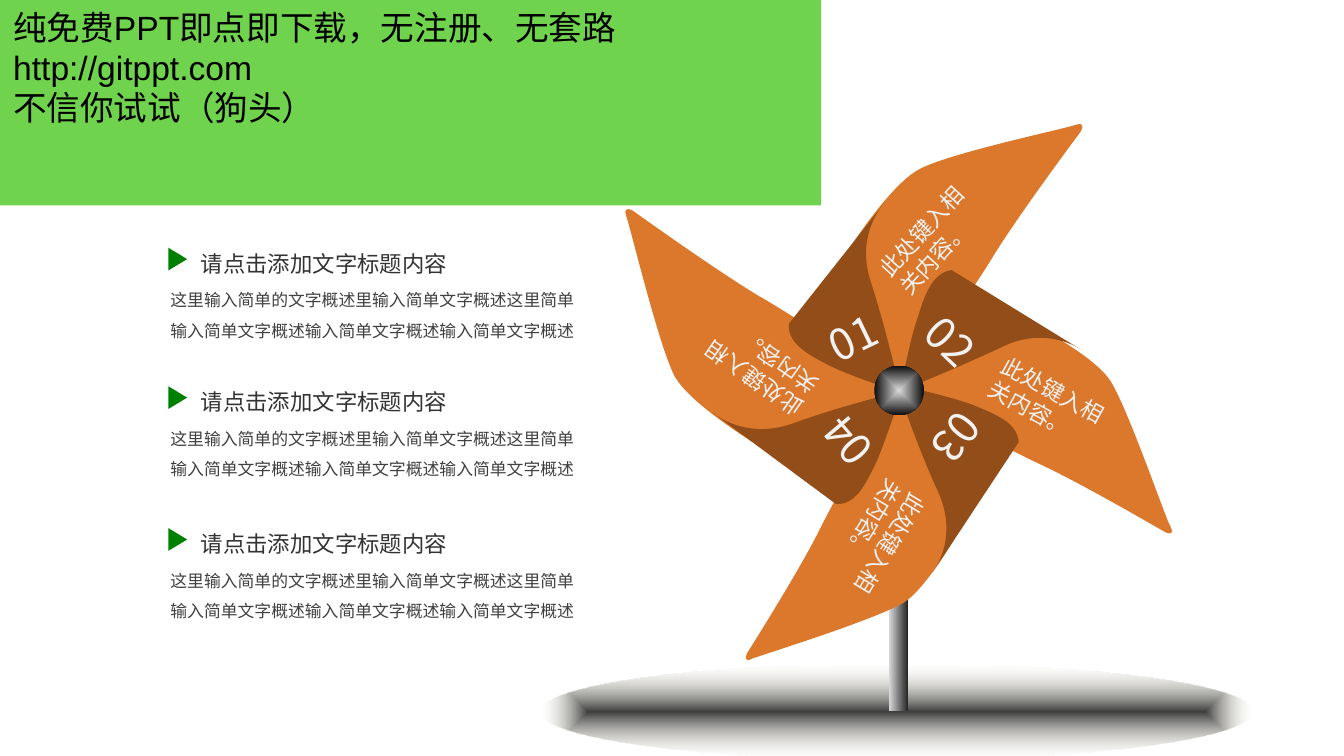
from lxml import etree
from pptx import Presentation
from pptx.dml.color import RGBColor
from pptx.enum import shapes, text
from pptx.oxml import ns
from pptx.util import Pt

FONT = "Noto Sans CJK SC"
ORANGE, BROWN, PALE = "DB782B", "934D19", "F2F2F2"
BANNER = "纯免费PPT即点即下载，无注册、无套路\nhttp://gitppt.com\n不信你试试（狗头）"
HEADING = "请点击添加文字标题内容"
BODY = "这里输入简单的文字概述里输入简单文字概述这里简单输入简单文字概述输入简单文字概述输入简单文字概述"
BLADE_TEXT = "此处键入相关内容。"

BLADES = [
    [(627.1, 282.2), (624.2, 277.2), (604.1, 218.2), (594.7, 203.8), (584.6, 188.6),
     (545.8, 169.9), (483.1, 206.6), (481.7, 208.1), (534.2, 238.3), (558, 249.1),
     (581, 259.9), (624.2, 285.1), (630, 288)],
    [(403.2, 352.8), (409, 350.6), (469.4, 331.9), (484.6, 322.6), (499.7, 312.5),
     (519.8, 273.6), (484.6, 208.8), (483.1, 207.4), (450.7, 259.9), (439.2, 283.7),
     (427.7, 306.7), (400.3, 349.9), (397.4, 355.7)],
    [(335.5, 115.9), (337.7, 121.7), (352.8, 185), (361.4, 201.6), (370.8, 218.2),
     (410.4, 241.2), (481.7, 209.5), (483.1, 208.8), (430.6, 172.1), (406.1, 158.4),
     (382.3, 144), (339.1, 113), (333.4, 109.4)],
    [(576, 67), (570.2, 69.1), (508.3, 82.1), (492.5, 90.7), (475.9, 99.4),
     (452.2, 137.5), (481, 209.5), (481.7, 211), (519.1, 159.1), (532.8, 136.1),
     (547.2, 113), (578.9, 70.6), (582.5, 64.8)],
]
FOLDS = [
    [(482.4, 209.5), (487.4, 181.4), (491.8, 169.9), (495.4, 157.7), (499.7, 146.2),
     (509.8, 144.7), (578.9, 187.2), (560.9, 174.2), (537.1, 185.8), (512.6, 197.3)],
    [(480.2, 205.9), (509, 212.4), (520.6, 216.7), (532.8, 221.8), (545, 226.1),
     (545.8, 236.9), (499.7, 306.7), (514.1, 288.7), (502.6, 263.5), (491, 238.3)],
    [(483.1, 209.5), (474.5, 236.2), (469.4, 247.7), (463.7, 259.2), (458.6, 270.7),
     (447.8, 270), (381.6, 221), (398.9, 236.2), (424.8, 226.8), (450.7, 217.4)],
    [(482.4, 210.2), (455.8, 201.6), (444.2, 195.8), (433.4, 190.1), (421.9, 184.3),
     (422.6, 173.5), (473.8, 108.7), (457.9, 125.3), (466.6, 151.2), (475.2, 177.8)],
]
NUMBERS = [("01", 437, 162.7, 334.2), ("02", 488.9, 166.3, 44),
           ("03", 489.6, 218.2, 128.7), ("04", 431.3, 217.4, 229.9)]
BLADE_LABELS = [(460.4, 107.3, 312.4), (523.1, 199.6, 28.6),
                (426.7, 273.6, 121), (362.6, 176.4, 214.7)]
ITEM_TOPS = [123.1, 197.3, 273.3]


def color(value):
    return RGBColor.from_string(value)


def finish(shape, fill=None):
    shape.shadow.inherit = False
    shape.line.fill.background()
    if fill:
        shape.fill.solid()
        shape.fill.fore_color.rgb = color(fill)
    return shape


def add_preset(page, kind, left, top, width, height, fill=None, rotation=0):
    shape = page.shapes.add_shape(kind, Pt(left), Pt(top), Pt(width), Pt(height))
    shape.rotation = rotation
    return finish(shape, fill)


def set_gradient(shape, start, end, end_alpha=100, centred=True):
    if centred:
        direction = ('<a:path path="rect"><a:fillToRect l="50000" t="50000" '
                     'r="50000" b="50000"/></a:path>')
    else:
        direction = '<a:lin ang="0" scaled="0"/>'
    gradient = etree.fromstring(
        f'<a:gradFill {ns.nsdecls("a")} rotWithShape="1"><a:gsLst>'
        f'<a:gs pos="0"><a:srgbClr val="{start}"/></a:gs>'
        f'<a:gs pos="100000"><a:srgbClr val="{end}"><a:alpha val="{end_alpha * 1000}"/>'
        f'</a:srgbClr></a:gs></a:gsLst>{direction}</a:gradFill>')
    shape._element.spPr.find(ns.qn("a:prstGeom")).addnext(gradient)


def add_curved_outline(page, points, fill):
    start, *rest = [(Pt(x), Pt(y)) for x, y in points]
    builder = page.shapes.build_freeform(*start)
    builder.add_line_segments(rest, close=True)
    shape = finish(builder.convert_to_shape(), fill)
    lines = list(shape._element.spPr.iter(ns.qn("a:lnTo")))
    for first in range(0, len(rest), 3):
        curve = etree.Element(ns.qn("a:cubicBezTo"))
        lines[first].addprevious(curve)
        for line in lines[first:first + 3]:
            curve.append(line[0])
            line.getparent().remove(line)


def add_blade(page, points):
    (tip, tip_out, edge_in, edge, bend, shoulder, near_hub, hub,
     back_in, back, back_out, tail, corner) = points
    add_curved_outline(page, [
        tip, tip_out, edge_in, edge, bend, shoulder, shoulder,
        near_hub, near_hub, near_hub, hub, hub, hub, hub, back_in, back,
        back_out, tail, tail, tail, corner, tip], ORANGE)


def add_fold(page, points):
    hub, side_in, side, side_out, top_in, top, far, inner_in, inner, inner_out = points
    add_curved_outline(page, [
        hub, hub, side_in, side, side_out, top_in, top, far, far, far,
        far, inner_in, inner, inner_out, hub, hub], BROWN)


def add_text(page, words, left, top, width, height, size, fill, rotation=0, spacing=1.0):
    box = page.shapes.add_textbox(Pt(left), Pt(top), Pt(width), Pt(height))
    box.rotation = rotation
    frame = box.text_frame
    frame.word_wrap = True
    frame.auto_size = text.MSO_AUTO_SIZE.SHAPE_TO_FIT_TEXT
    frame.text = words
    para = frame.paragraphs[0]
    para.line_spacing = spacing
    format_span(para.runs[0], size, fill, FONT)


def format_span(span, size, fill, font):
    span.font.size = Pt(size)
    span.font.name = font
    span.font.color.rgb = color(fill)
    etree.SubElement(span.font._element, ns.qn("a:ea"), typeface=FONT)


def add_item(page, top):
    add_text(page, BODY, 84.2, top + 23.3, 234, 39.6, 9, "404040", spacing=1.5)
    add_text(page, HEADING, 100.5, top, 167, 28.8, 12, "333333", spacing=1.5)
    add_preset(page, shapes.MSO_SHAPE.ISOSCELES_TRIANGLE,
               89.1, top + 10.7, 12.2, 10.1, "008000", 90)


def add_pinwheel(page):
    ground = add_preset(page, shapes.MSO_SHAPE.OVAL, 289.4, 355.7, 381.6, 51.1, rotation=180)
    set_gradient(ground, "404040", "EEECE1", end_alpha=0)
    stick = add_preset(page, shapes.MSO_SHAPE.RECTANGLE, 476.3, 211, 10.1, 169.9)
    set_gradient(stick, "D9D9D9", "262626", centred=False)
    for points in BLADES:
        add_blade(page, points)
    for points in FOLDS:
        add_fold(page, points)
    hub = add_preset(page, shapes.MSO_SHAPE.OVAL, 468.4, 195.9, 26.6, 26.6)
    set_gradient(hub, "D9D9D9", "0D0D0D")
    for number, left, top, rotation in NUMBERS:
        add_text(page, number, left, top, 43.2, 35.3, 23, PALE, rotation)
    for left, top, rotation in BLADE_LABELS:
        add_text(page, BLADE_TEXT, left, top, 83.5, 36, 12, PALE, rotation)


def add_banner(page):
    banner = add_preset(page, shapes.MSO_SHAPE.RECTANGLE, 0, 0, 440, 110, "70D34D")
    frame = banner.text_frame
    frame.word_wrap = True
    frame.vertical_anchor = text.MSO_ANCHOR.TOP
    frame.text = BANNER
    for para in frame.paragraphs:
        para.alignment = text.PP_ALIGN.LEFT
        format_span(para.runs[0], 18, "000000", "Arial")


def main():
    deck = Presentation()
    deck.slide_width, deck.slide_height = Pt(720), Pt(405)
    page = deck.slides.add_slide(deck.slide_layouts[6])
    add_pinwheel(page)
    for top in ITEM_TOPS:
        add_item(page, top)
    add_banner(page)
    deck.save("out.pptx")


if __name__ == "__main__":
    main()
